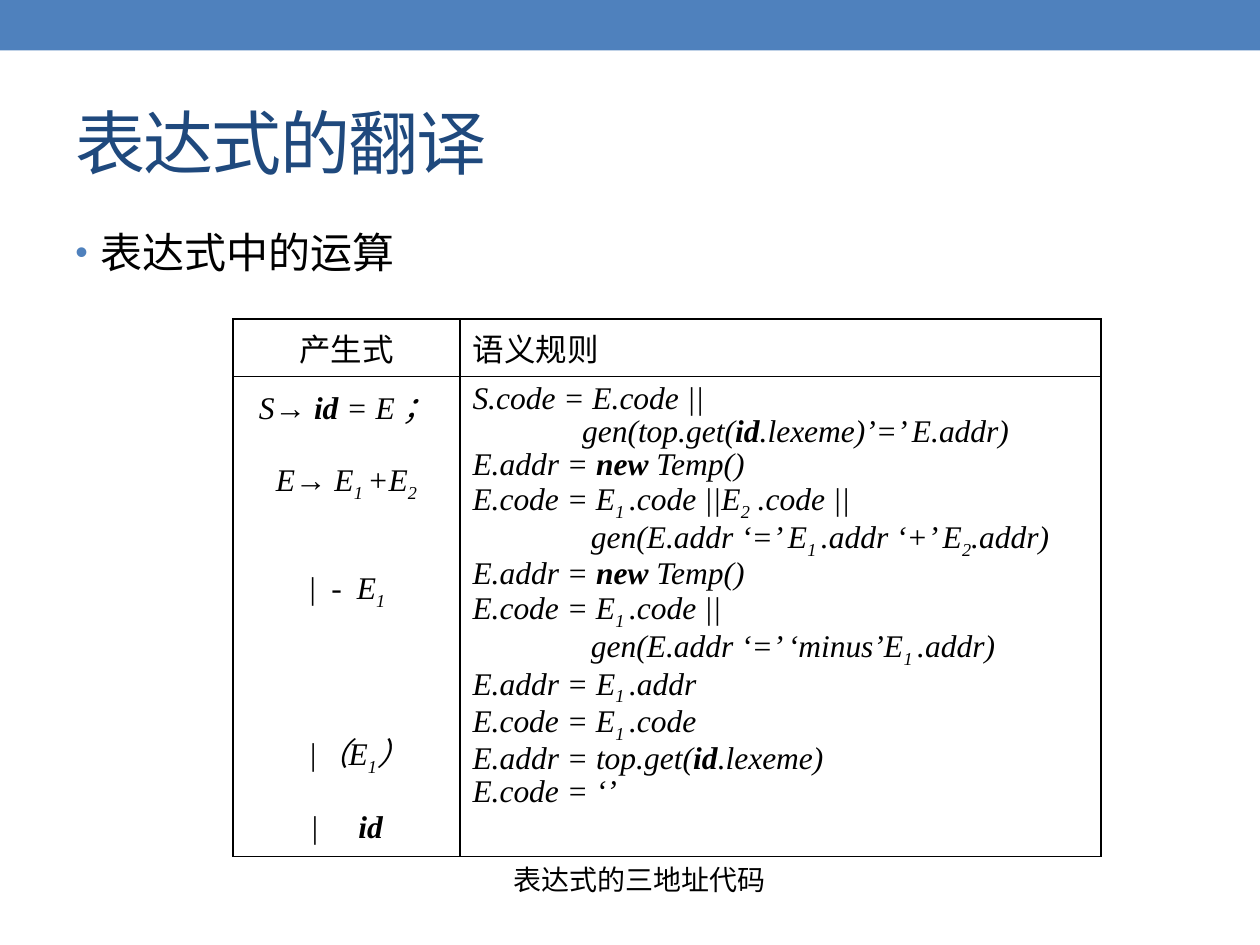
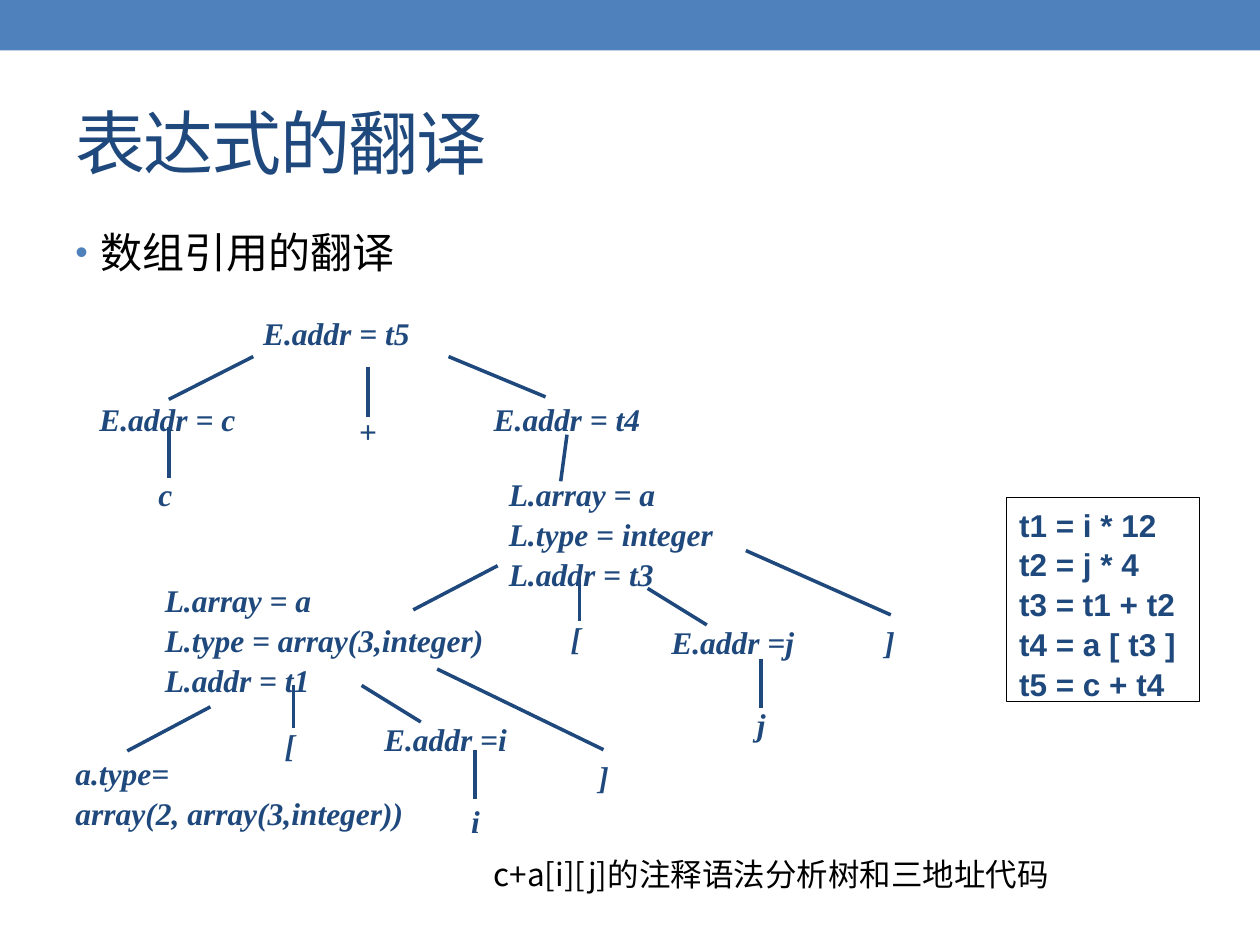
"""Two slides on translating expressions: a semantic rule table and an annotated parse tree."""
from pptx import Presentation, util as u
from pptx.dml.color import RGBColor
from pptx.enum import shapes, text
from pptx.oxml.ns import qn
from lxml import etree

PX = 9144
CJK, SANS, SERIF = "Noto Sans CJK SC", "Arial", "Times New Roman"
BLUE, NAVY, BLACK = "4F81BD", "1F497D", "000000"

TITLE = "表达式的翻译"
TITLE_FONT = dict(name=CJK, size=40, color=NAVY)
BODY_FONT = dict(name=SANS, size=24, color=BLACK)
HEAD_FONT = dict(name=SANS, size=18, color=BLACK)
RULE_FONT = dict(name=SERIF, size=18, color=BLACK, italic=True)
NODE_FONT = dict(name=SERIF, size=18, color=NAVY, bold=True, italic=True)
CODE_FONT = dict(name=SANS, size=18, color=NAVY, bold=True)

TABLE_BOX = (185, 253, 689, 427)
COLUMNS, ROWS = (180, 509), (46, 381)
HEADERS = ("产生式", "语义规则")
# Markup: *bold*, _subscript_, ~width of an extended space~; then left indent and points before.
PRODUCTIONS = [
    ("S→ *id *= E ；", 0, 0),
    ("E→ E_1 _+E_2_", 0, 20),
    ("|~4~-~4~E_1_", 0, 39),
    ("|（E_1_）", 19, 67),
    ("|~18~*id*", 0, 19),
]
RULES = [
    ("S.code = E.code ||", 0, 0),
    ("gen(top.get(*id*.lexeme)’=’ E.addr)", 87, 0),
    ("E.addr = *new* Temp()", 0, 0),
    ("E.code = E_1 _.code ||E_2_ .code ||", 0, 0),
    ("gen(E.addr ‘=’ E_1 _.addr ‘+’ E_2_.addr)", 94, 0),
    ("E.addr = *new* Temp()", 0, 0),
    ("E.code = E_1 _.code ||", 0, 0),
    ("gen(E.addr ‘=’ ‘minus’E_1 _.addr)", 94, 0),
    ("E.addr = E_1 _.addr", 0, 0),
    ("E.code = E_1 _.code", 0, 0),
    ("E.addr = top.get(*id*.lexeme)", 0, 0),
    ("E.code = ‘’", 0, 0),
]

NODES = [
    (199, 243, 150, ["E.addr = t5"]),
    (69, 311, 142, ["E.addr = c"]),
    (275, 321, 35, ["+"]),
    (382, 311, 157, ["E.addr = t4"]),
    (116, 371, 34, ["c"]),
    (394, 371, 207, ["L.array = a", "L.type = integer", "L.addr = t3"]),
    (121, 455, 307, ["L.array = a", "L.type = array(3,integer)", "L.addr = t1"]),
    (443, 485, 29, ["["]),
    (523, 488, 127, ["E.addr =j"]),
    (692, 488, 29, ["]"]),
    (591, 553, 27, ["j"]),
    (50, 592, 311, ["a.type=", "array(2, array(3,integer))"]),
    (216, 570, 29, ["["]),
    (295, 565, 127, ["E.addr =i"]),
    (465, 595, 29, ["]"]),
    (364, 630, 27, ["i"]),
]
BRANCHES = [
    (201, 283, 134, 317), (292, 291, 292, 331), (356, 283, 433, 315),
    (134, 339, 134, 379), (450, 345, 445, 382),
    (395, 449, 328, 484), (460, 459, 460, 493), (514, 467, 561, 496), (592, 437, 707, 488),
    (604, 523, 604, 562),
    (167, 561, 101, 596), (233, 544, 233, 578), (287, 544, 334, 573), (347, 531, 479, 595),
    (377, 595, 377, 634),
]
CODE = ["t1 = i * 12", "t2 = j * 4", "t3 = t1 + t2", "t4 = a [ t3 ]", "t5 = c + t4"]


def rgb(value):
    return RGBColor.from_string(value)


def emu(*values):
    return [u.Emu(v * PX) for v in values]


def child(parent, tag, **attrs):
    return etree.SubElement(parent, qn(tag), attrs)


def add_run(p, words, fmt, **attrs):
    r = p.add_run()
    r.text = words
    for key, value in fmt.items():
        if key == "color":
            r.font.color.rgb = rgb(value)
        else:
            setattr(r.font, key, u.Pt(value) if key == "size" else value)
    rPr = r._r.get_or_add_rPr()
    child(rPr, "a:ea", typeface=CJK)
    for key, value in attrs.items():
        rPr.set(key, value)


def add_lines(tf, lines, fmt, spacing=None):
    tf.word_wrap = True
    for n, line in enumerate(lines):
        p = tf.add_paragraph() if n else tf.paragraphs[0]
        p.alignment = text.PP_ALIGN.LEFT
        if spacing:
            p.line_spacing = spacing
        add_run(p, line, fmt)


def add_label(s, box, lines, fmt, spacing=None):
    sp = s.shapes.add_textbox(*emu(*box))
    add_lines(sp.text_frame, lines, fmt, spacing)
    return sp


def add_marked(p, line):
    for b, chunk in enumerate(line.split("*")):
        fmt = dict(RULE_FONT, bold=bool(b % 2))
        for w, piece in enumerate(chunk.split("~")):
            if w % 2:
                add_run(p, " ", fmt, spc=str(int(piece) * 100))
                continue
            for n, part in enumerate(piece.split("_")):
                if part:
                    add_run(p, part, fmt, **({"baseline": "-25000"} if n % 2 else {}))


def fill_cell(cell, lines, align, spacing):
    for n, (line, indent, before) in enumerate(lines):
        tf = cell.text_frame
        p = tf.add_paragraph() if n else tf.paragraphs[0]
        p.alignment, p.line_spacing = align, spacing
        if before:
            p.space_before = u.Pt(before)
        if indent:
            p._p.get_or_add_pPr().set("marL", str(indent * PX))
        add_marked(p, line)


def add_borders(cell):
    tcPr = cell._tc.get_or_add_tcPr()
    for side in ("a:lnL", "a:lnR", "a:lnT", "a:lnB"):
        ln = child(tcPr, side, w="12700")
        child(child(ln, "a:solidFill"), "a:srgbClr", val=BLACK)
    cell.fill.background()


def add_base(prs, topic):
    s = prs.slides.add_slide(prs.slide_layouts[5])
    band = s.shapes.add_shape(shapes.MSO_SHAPE.RECTANGLE, *emu(0, 0, 1000, 40))
    band.shadow.inherit = False
    band.fill.solid()
    band.fill.fore_color.rgb = rgb(BLUE)
    band.line.fill.background()

    title = s.shapes.title
    title.left, title.top, title.width, title.height = emu(50, 58, 900, 108)
    tf = title.text_frame
    tf.vertical_anchor = text.MSO_ANCHOR.MIDDLE
    tf.paragraphs[0].alignment = text.PP_ALIGN.LEFT
    add_run(tf.paragraphs[0], TITLE, TITLE_FONT, spc="-100")

    body = add_label(s, (50, 175, 900, 60), [topic], BODY_FONT)
    pPr = body.text_frame.paragraphs[0]._p.get_or_add_pPr()
    pPr.set("marL", str(20 * PX))
    pPr.set("indent", str(-20 * PX))
    child(child(pPr, "a:buClr"), "a:srgbClr", val=BLUE)
    child(pPr, "a:buSzPct", val="85000")
    child(pPr, "a:buFont", typeface=SANS)
    child(pPr, "a:buChar", char="•")
    return s


def add_rule_table(s):
    table = s.shapes.add_table(2, 2, *emu(*TABLE_BOX)).table
    table.first_row = table.horz_banding = False
    for col, width in zip(table.columns, emu(*COLUMNS)):
        col.width = width
    for row, height in zip(table.rows, emu(*ROWS)):
        row.height = height
    for cell in table.iter_cells():
        add_borders(cell)
    aligns = (text.PP_ALIGN.CENTER, text.PP_ALIGN.LEFT)
    bodies = ((PRODUCTIONS, 1.0), (RULES, 0.95))
    for c, (head, align, (lines, spacing)) in enumerate(zip(HEADERS, aligns, bodies)):
        p = table.cell(0, c).text_frame.paragraphs[0]
        p.alignment = align
        add_run(p, head, HEAD_FONT)
        fill_cell(table.cell(1, c), lines, align, spacing)


def add_parse_tree(s):
    for branch in BRANCHES:
        line = s.shapes.add_connector(shapes.MSO_CONNECTOR.STRAIGHT, *emu(*branch))
        line.line.color.rgb = rgb(NAVY)
        line.line.width = u.Pt(2)
        child(line._element.spPr, "a:effectLst")
    for x, y, w, lines in NODES:
        add_label(s, (x, y, w, 10 + 30 * len(lines)), lines, NODE_FONT, 1.05)


def add_code_box(s):
    sp = s.shapes.add_shape(shapes.MSO_SHAPE.RECTANGLE, *emu(799, 395, 153, 162))
    sp.shadow.inherit = False
    sp.fill.background()
    sp.line.color.rgb = rgb(BLACK)
    sp.line.width = u.Pt(0.75)
    sp.text_frame.vertical_anchor = text.MSO_ANCHOR.TOP
    add_lines(sp.text_frame, CODE, CODE_FONT, 1.05)


def main():
    prs = Presentation()
    prs.slide_width, prs.slide_height = emu(1000, 750)

    s = add_base(prs, "表达式中的运算")
    add_rule_table(s)
    add_label(s, (398, 680, 291, 37), ["表达式的三地址代码"], dict(HEAD_FONT, name=CJK, size=16))

    s = add_base(prs, "数组引用的翻译")
    add_label(s, (382, 674, 512, 40), ["c+a[i][j]的注释语法分析树和三地址代码"], dict(HEAD_FONT, name=CJK))
    add_code_box(s)
    add_parse_tree(s)

    prs.save("out.pptx")


if __name__ == "__main__":
    main()
